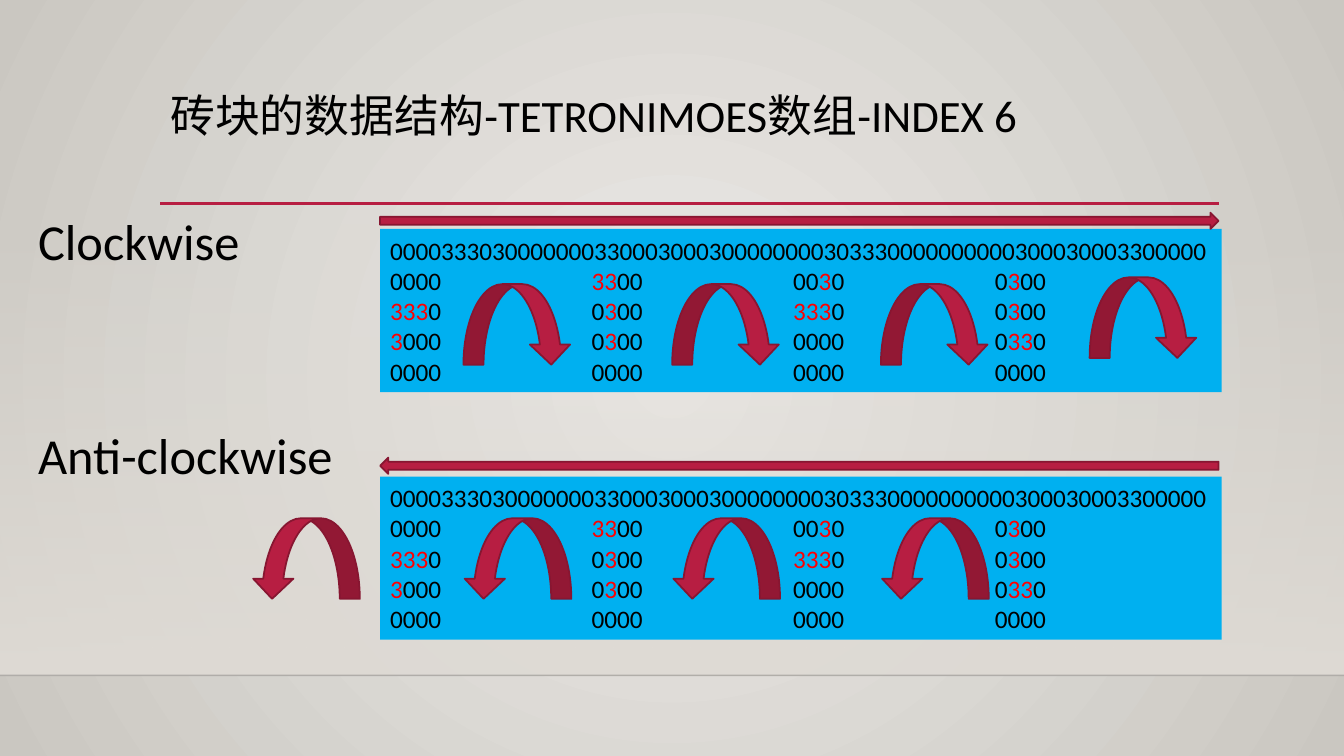
from itertools import groupby

from lxml import etree
from pptx import Presentation
from pptx.dml.color import RGBColor
from pptx.enum.shapes import MSO_CONNECTOR, MSO_SHAPE
from pptx.enum.text import MSO_ANCHOR, MSO_AUTO_SIZE, PP_ALIGN
from pptx.oxml.ns import qn
from pptx.util import Cm, Pt

RECTANGLE = MSO_SHAPE.RECTANGLE
RIGHT_ARROW = MSO_SHAPE.RIGHT_ARROW
CURVED_ARROW = MSO_SHAPE.CURVED_DOWN_ARROW
STRAIGHT = MSO_CONNECTOR.STRAIGHT
LEFT = PP_ALIGN.LEFT
TOP, MIDDLE = MSO_ANCHOR.TOP, MSO_ANCHOR.MIDDLE
NO_FIT, GROW = MSO_AUTO_SIZE.NONE, MSO_AUTO_SIZE.SHAPE_TO_FIT_TEXT

BLACK = RGBColor(0x00, 0x00, 0x00)
RED = RGBColor(0xFF, 0x00, 0x00)
SKY = RGBColor(0x00, 0xB0, 0xF0)
CRIMSON = RGBColor(0xB7, 0x1E, 0x42)
DARK_CRIMSON = RGBColor(0x87, 0x16, 0x31)
HORIZON = RGBColor(0x00, 0x00, 0x01)
PALE = RGBColor(0xEC, 0xEA, 0xE7)
STONE = RGBColor(0xCA, 0xC7, 0xC1)
WALL = RGBColor(0xDF, 0xDB, 0xD5)

WIDTH, HEIGHT = 33.87, 19.05
FLOOR = 17.02
PANEL_LEFT = 9.58
TAB_STEP = 5.08
ARROW_LEFTS = [11.68 + 5.26 * column for column in range(4)]
ROTATIONS = [
    ["0000", "3330", "3000", "0000"],
    ["3300", "0300", "0300", "0000"],
    ["0030", "3330", "0000", "0000"],
    ["0300", "0300", "0330", "0000"],
]


def apply_format(target, **values):
    """Set every given attribute on the target."""
    for name, value in values.items():
        setattr(target, name, value)


def add_run(paragraph, text, size, color=BLACK):
    """Add a run of text in the slide's font."""
    run = paragraph.add_run()
    run.text = text
    apply_format(run.font, name="Calibri", size=Pt(size))
    run.font.color.rgb = color


def set_alpha(color_element, percent):
    """Give a colour element its opacity."""
    etree.SubElement(color_element, qn("a:alpha"), val=str(percent * 1000))


def set_gradient(fill, colors):
    """Turn a fill into a two-colour gradient running downwards."""
    fill.gradient()
    fill.gradient_angle = 270
    for stop, color in zip(fill.gradient_stops, colors):
        stop.color.rgb = color


def add_background(slide):
    """Paint the radial background, the wall and the floor edge."""
    set_gradient(slide.background.fill, (PALE, STONE))
    gradient = slide.element.xpath(".//p:bg//a:gradFill")[0]
    linear = gradient.find(qn("a:lin"))
    radial = etree.Element(qn("a:path"), path="circle")
    etree.SubElement(radial, qn("a:fillToRect"),
                     dict.fromkeys("ltrb", "50000"))
    gradient.replace(linear, radial)
    wall = slide.shapes.add_shape(
        RECTANGLE, 0, Cm(5.61), Cm(WIDTH), Cm(FLOOR - 5.61))
    wall.shadow.inherit = False
    wall.line.fill.background()
    set_gradient(wall.fill, (WALL, WALL))
    set_alpha(wall.element.xpath(".//a:gs/a:srgbClr")[0], 0)
    add_rule(slide, 0, WIDTH, FLOOR, HORIZON, 1, 20)


def add_rule(slide, start, end, top, color, width, opacity=100):
    """Draw a horizontal line."""
    rule = slide.shapes.add_connector(
        STRAIGHT, Cm(start), Cm(top), Cm(end), Cm(top))
    rule.line.color.rgb = color
    rule.line.width = Pt(width)
    set_alpha(rule.element.xpath(".//a:ln//a:srgbClr")[0], opacity)
    etree.SubElement(rule.element.spPr, qn("a:effectLst"))


def add_title(slide, text):
    """Place and format the title placeholder."""
    title = slide.shapes.title
    apply_format(title, left=Cm(4.04), top=Cm(2.24),
                 width=Cm(26.67), height=Cm(2.92))
    apply_format(title.text_frame, vertical_anchor=TOP, word_wrap=True,
                 auto_size=NO_FIT)
    paragraph = title.text_frame.paragraphs[0]
    apply_format(paragraph, alignment=LEFT, line_spacing=0.9)
    add_run(paragraph, text, 32)


def add_label(slide, text, top, width):
    """Add the name of a turning direction."""
    label = slide.shapes.add_textbox(
        Cm(0.71), Cm(top), Cm(width), Cm(1.8))
    apply_format(label.text_frame, word_wrap=False, auto_size=GROW)
    add_run(label.text_frame.paragraphs[0], text, 36)


def add_panel(slide, top):
    """Add the whole array with its four rotations as grids below."""
    panel = slide.shapes.add_shape(
        RECTANGLE, Cm(PANEL_LEFT), Cm(top), Cm(21.21), Cm(4.11))
    panel.shadow.inherit = False
    panel.fill.solid()
    panel.fill.fore_color.rgb = SKY
    panel.line.fill.background()
    frame = panel.text_frame
    apply_format(frame, word_wrap=True, auto_size=GROW,
                 vertical_anchor=MIDDLE)
    heading = frame.paragraphs[0]
    heading.alignment = LEFT
    add_run(heading, "".join(map("".join, ROTATIONS)), 18)
    for row in zip(*ROTATIONS):
        paragraph = frame.add_paragraph()
        paragraph.alignment = LEFT
        properties = paragraph.runs and None or paragraph._p.get_or_add_pPr()
        tabs = etree.SubElement(properties, qn("a:tabLst"))
        for column in range(1, len(row)):
            etree.SubElement(tabs, qn("a:tab"), algn="l",
                             pos=str(Cm(TAB_STEP * column)))
        for filled, cells in groupby("\t".join(row), lambda cell: cell == "3"):
            add_run(paragraph, "".join(cells), 18, RED if filled else BLACK)


def add_arrow(slide, kind, left, top, width, height):
    """Add a crimson block arrow and return it."""
    arrow = slide.shapes.add_shape(
        kind, Cm(left), Cm(top), Cm(width), Cm(height))
    arrow.shadow.inherit = False
    arrow.fill.solid()
    arrow.fill.fore_color.rgb = CRIMSON
    arrow.line.color.rgb = DARK_CRIMSON
    arrow.line.width = Pt(1.25)
    return arrow


def add_direction_arrow(slide, top, rotation):
    """Add the long arrow above a panel."""
    arrow = add_arrow(slide, RIGHT_ARROW, PANEL_LEFT, top, 21.13, 0.41)
    arrow.rotation = rotation


def add_turn(slide, left, top, mirrored):
    """Add a curved arrow, mirrored for an anti-clockwise turn."""
    arrow = add_arrow(slide, CURVED_ARROW, left, top, 2.72, 2.03)
    if mirrored:
        arrow.element.spPr.find(qn("a:xfrm")).set("flipH", "1")


def main():
    """Build the slide and save it."""
    presentation = Presentation()
    apply_format(presentation, slide_width=Cm(WIDTH), slide_height=Cm(HEIGHT))
    slide = presentation.slides.add_slide(presentation.slide_layouts[5])
    add_background(slide)
    add_rule(slide, 4.04, 30.73, 5.13, CRIMSON, 2.5)
    add_title(slide, "砖块的数据结构-TETRONIMOES数组-INDEX 6")

    add_label(slide, "Clockwise", 5.16, 5.89)
    add_panel(slide, 5.77)
    add_direction_arrow(slide, 5.36, 0)
    for left, top in zip(ARROW_LEFTS, (7.16, 7.16, 7.16, 6.99)):
        add_turn(slide, left, top, False)

    add_label(slide, "Anti-clockwise", 10.57, 8.18)
    add_panel(slide, 12.01)
    add_direction_arrow(slide, 11.53, 180)
    for left in [6.35] + ARROW_LEFTS[:3]:
        add_turn(slide, left, 13.06, True)
    presentation.save("out.pptx")


if __name__ == "__main__":
    main()
